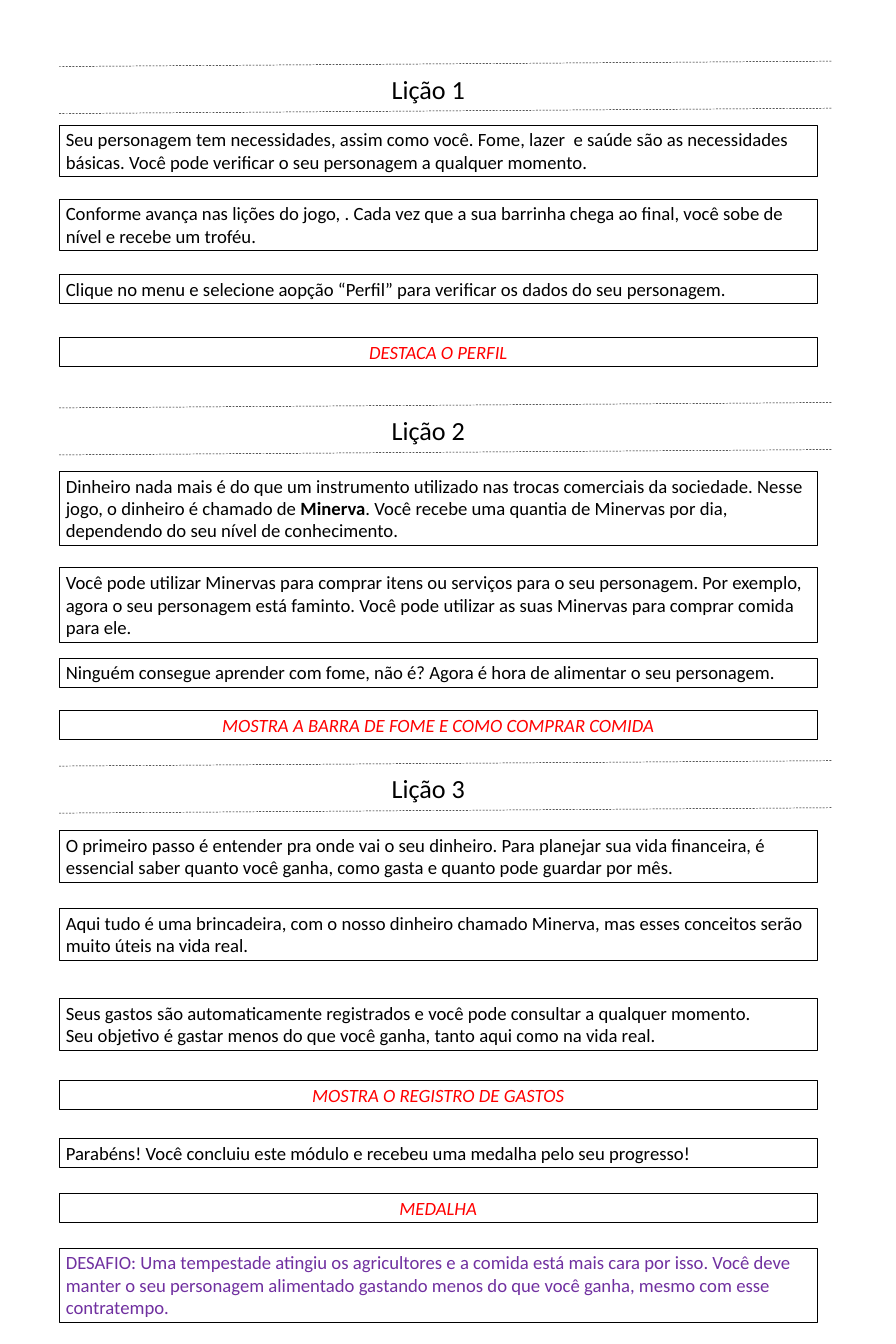
"""Build a tall slide that lists the texts of three game lessons."""
from lxml.etree import SubElement
from pptx import Presentation
from pptx.dml.color import RGBColor
from pptx.enum.dml import MSO_LINE
from pptx.enum.shapes import MSO_CONNECTOR, MSO_SHAPE
from pptx.enum.text import MSO_ANCHOR, MSO_AUTO_SIZE, PP_ALIGN
from pptx.oxml.ns import qn
from pptx.util import Inches, Pt

COLORS = {"text": "000000", "cue": "FF0000", "task": "7030A0"}
LEFT = 0.88

LESSONS = [
    ("Lição 1", 0.91, [
        (1.86, 2, "text", "Seu personagem tem necessidades, assim como você. Fome, lazer  e saúde "
         "são as necessidades básicas. Você pode verificar o seu personagem a qualquer momento."),
        (2.96, 2, "text", "Conforme avança nas lições do jogo, . Cada vez que a sua barrinha "
         "chega ao final, você sobe de nível e recebe um troféu."),
        (4.08, 1, "text", "Clique no menu e selecione aopção “Perfil” para verificar os dados "
         "do seu personagem."),
        (5.02, 1, "cue", "DESTACA O PERFIL"),
    ]),
    ("Lição 2", 5.99, [
        (7.01, 3, "text", "Dinheiro nada mais é do que um instrumento utilizado nas trocas "
         "comerciais da sociedade. Nesse jogo, o dinheiro é chamado de *Minerva*. Você recebe "
         "uma quantia de Minervas por dia, dependendo do seu nível de conhecimento."),
        (8.45, 3, "text", "Você pode utilizar Minervas para comprar itens ou serviços para o seu "
         "personagem. Por exemplo, agora o seu personagem está faminto. Você pode utilizar as "
         "suas Minervas para comprar comida para ele."),
        (9.79, 1, "text", "Ninguém consegue aprender com fome, não é? Agora é hora de alimentar "
         "o seu personagem."),
        (10.57, 1, "cue", "MOSTRA A BARRA DE FOME E COMO COMPRAR COMIDA"),
    ]),
    ("Lição 3", 11.32, [
        (12.36, 2, "text", "O primeiro passo é entender pra onde vai o seu dinheiro. Para planejar "
         "sua vida financeira, é essencial saber quanto você ganha, como gasta e quanto pode "
         "guardar por mês."),
        (13.52, 2, "text", "Aqui tudo é uma brincadeira, com o nosso dinheiro chamado Minerva, mas "
         "esses conceitos serão muito úteis na vida real."),
        (14.86, 2, "text", "Seus gastos são automaticamente registrados e você pode consultar a "
         "qualquer momento.\nSeu objetivo é gastar menos do que você ganha, tanto aqui como na "
         "vida real."),
        (16.08, 1, "cue", "MOSTRA O REGISTRO DE GASTOS"),
        (16.94, 1, "text", "Parabéns! Você concluiu este módulo e recebeu uma medalha pelo seu "
         "progresso!"),
        (17.76, 1, "cue", "MEDALHA"),
        (18.57, 3, "task", "DESAFIO: Uma tempestade atingiu os agricultores e a comida está mais "
         "cara por isso. Você deve manter o seu personagem alimentado gastando menos do que você "
         "ganha, mesmo com esse contratempo."),
    ]),
]


def paint(name):
    return RGBColor.from_string(COLORS[name])


def write(shape, text, size, color, align, italic=False):
    frame = shape.text_frame
    frame.word_wrap = True
    frame.auto_size = MSO_AUTO_SIZE.SHAPE_TO_FIT_TEXT
    frame.vertical_anchor = MSO_ANCHOR.TOP
    frame.text = text.replace("*", "")
    for para, line in zip(frame.paragraphs, text.split("\n")):
        para.alignment = align
        parts = line.split("*")
        para.text = parts[0]
        for part in parts[1:]:
            para.add_run().text = part
        for index, run in enumerate(para.runs):
            font = run.font
            font.name, font.size = "Calibri", Pt(size)
            font.bold, font.italic = index % 2 == 1, italic
            font.color.rgb = paint(color)


def rule(group, top):
    line = group.shapes.add_connector(MSO_CONNECTOR.STRAIGHT, Inches(LEFT), Inches(top + 0.08),
                                      Inches(12.38), Inches(top))
    line.line.color.rgb = paint("text")
    line.line.width = Pt(0.5)
    line.line.dash_style = MSO_LINE.DASH
    SubElement(line._element.spPr, qn("a:effectLst"))


def header(slide, title, top):
    group = slide.shapes.add_group_shape()
    label = group.shapes.add_textbox(Inches(5.4), Inches(top + 0.13), Inches(1.94), Inches(0.57))
    write(label, title, 28, "text", PP_ALIGN.CENTER)
    for shift in (0, 0.7):
        rule(group, top + shift)


def box(slide, top, rows, kind, text):
    height = 0.1 + rows * 0.335
    shape = slide.shapes.add_shape(MSO_SHAPE.RECTANGLE, Inches(LEFT), Inches(top),
                                   Inches(11.28), Inches(height))
    shape.shadow.inherit = False
    shape.fill.background()
    shape.line.color.rgb = paint("text")
    shape.line.width = Pt(0.75)
    cue = kind == "cue"
    write(shape, text, 20, kind, PP_ALIGN.CENTER if cue else PP_ALIGN.LEFT, cue)


def main():
    deck = Presentation()
    deck.slide_width, deck.slide_height = Inches(13.33), Inches(20)
    slide = deck.slides.add_slide(deck.slide_layouts[6])
    for title, top, boxes in LESSONS:
        header(slide, title, top)
        for item in boxes:
            box(slide, *item)
    deck.save("out.pptx")


main()
